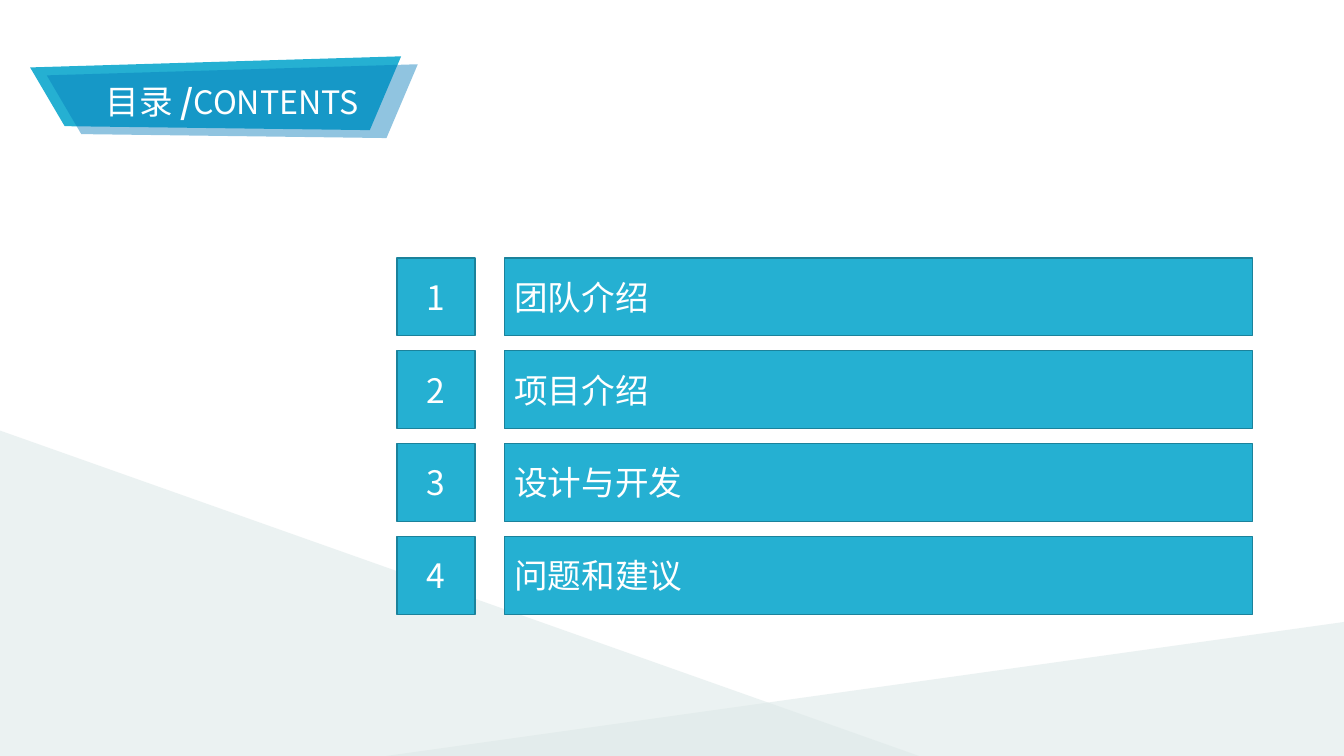
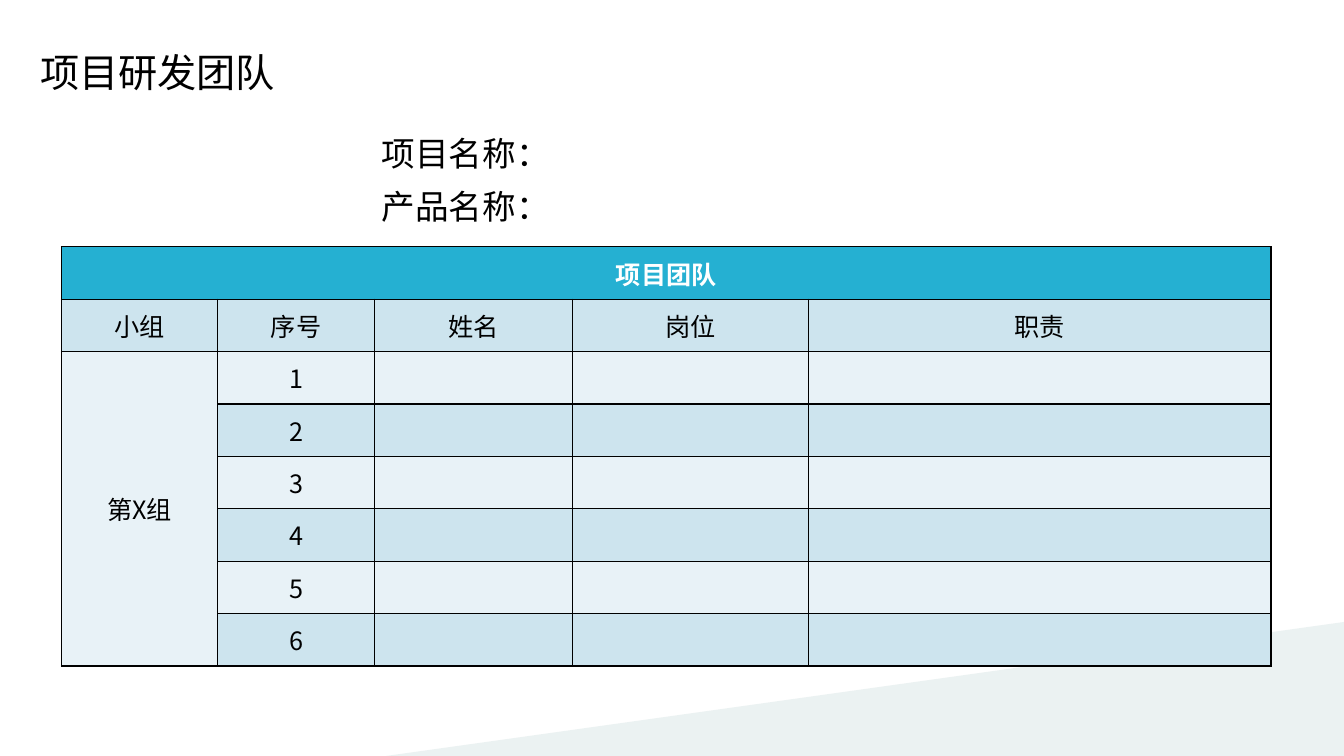
"""Builds a contents slide and a project team slide with a shared backdrop."""
from lxml import etree
from pptx import Presentation
from pptx import util as u
from pptx.dml.color import RGBColor
from pptx.enum import shapes, text
from pptx.oxml import ns

Cm = u.Cm
FONT = "Noto Sans CJK SC"
TEAL = RGBColor(0x25, 0xB0, 0xD2)
TEAL_EDGE = RGBColor(0x1B, 0x82, 0x9B)
BLUE = RGBColor(0x04, 0x7A, 0xBA)
MIST = RGBColor(0xDD, 0xE9, 0xE8)
ROW_DARK = RGBColor(0xCD, 0xE4, 0xEE)
ROW_LIGHT = RGBColor(0xE8, 0xF2, 0xF7)
WHITE = RGBColor(0xFF, 0xFF, 0xFF)
BLACK = RGBColor(0, 0, 0)
LEFT, CENTER = text.PP_ALIGN.LEFT, text.PP_ALIGN.CENTER


def write(frame, pieces, color, align, **shared):
    """Fill a text frame with runs given as (words, format values)."""
    for name, value in {"word_wrap": True, "auto_size": text.MSO_AUTO_SIZE.NONE,
                        "vertical_anchor": text.MSO_ANCHOR.MIDDLE}.items():
        setattr(frame, name, value)
    paragraph = frame.paragraphs[0]
    paragraph.alignment = align
    for words, own in pieces:
        run = paragraph.add_run()
        run.text = words
        for name, value in {"name": FONT, "bold": False, **shared, **own}.items():
            setattr(run.font, name, value)
        run.font.color.rgb = color
        east_asian = etree.SubElement(run.font._element, ns.qn("a:ea"))
        east_asian.set("typeface", FONT)


def paint(shape, color, edge=None, opacity=100):
    """Give a shape a flat fill, an optional edge and an opacity in percent."""
    shape.shadow.inherit = False
    shape.fill.solid()
    shape.fill.fore_color.rgb = color
    if edge is None:
        shape.line.fill.background()
    else:
        shape.line.color.rgb = edge
        shape.line.width = u.Pt(1)
    if opacity < 100:
        tint = shape._element.spPr.find(ns.qn("a:solidFill"))[0]
        etree.SubElement(tint, ns.qn("a:alpha")).set("val", str(opacity * 1000))


deck = Presentation()
deck.slide_width, deck.slide_height = Cm(33.87), Cm(19.05)
contents, team = [deck.slides.add_slide(deck.slide_layouts[5]) for _ in range(2)]

for slide in (contents, team):
    hill = slide.shapes.add_shape(shapes.MSO_SHAPE.RIGHT_TRIANGLE,
                                  Cm(9.73), Cm(15.65), Cm(24.31), Cm(3.4))
    hill._element.spPr.find(ns.qn("a:xfrm")).set("flipH", "1")
    paint(hill, MIST, opacity=56)

left_hill = contents.shapes.add_shape(shapes.MSO_SHAPE.RIGHT_TRIANGLE,
                                      0, Cm(10.85), Cm(23.16), Cm(8.2))
paint(left_hill, MIST, opacity=56)

RIBBON = [(0.76, 1.7), (1.63, 3.18), (9.32, 3.28), (10.11, 1.42)]
for shift_x, shift_y, color, opacity in [(0, 0, TEAL, 100), (0.42, 0.2, BLUE, 44)]:
    corners = [(Cm(x + shift_x), Cm(y + shift_y)) for x, y in RIBBON]
    outline = contents.shapes.build_freeform(*corners[0])
    outline.add_line_segments(corners[1:], close=True)
    paint(outline.convert_to_shape(), color, opacity=opacity)

TITLES = [
    (contents, (1.18, 1.62, 9.36, 1.86), WHITE, CENTER,
     [("目录 ", {"size": u.Pt(24)}), ("/", {"size": u.Pt(24), "bold": True}),
      ("CONTENTS", {"size": u.Pt(23)})]),
    (team, (0.76, 1.09, 12, 1.45), BLACK, LEFT, [("项目研发团队", {"size": u.Pt(28)})]),
]
for slide, place, color, align, pieces in TITLES:
    title = slide.shapes.title
    for name, value in zip(("left", "top", "width", "height"), place):
        setattr(title, name, Cm(value))
    write(title.text_frame, pieces, color, align)
    slide.shapes._spTree.append(title._element)

CHAPTERS = ["团队介绍", "项目介绍", "设计与开发", "问题和建议"]
BAR_HEIGHT, BAR_STEP = 1.96, 2.34
for index, chapter in enumerate(CHAPTERS):
    top = 6.5 + index * BAR_STEP
    for left, width, words, align in [(12.71, 18.85, chapter, LEFT),
                                      (10.01, BAR_HEIGHT, str(index + 1), CENTER)]:
        bar = contents.shapes.add_shape(shapes.MSO_SHAPE.RECTANGLE, Cm(left), Cm(top),
                                        Cm(width), Cm(BAR_HEIGHT))
        paint(bar, TEAL, TEAL_EDGE)
        write(bar.text_frame, [(words, {})], WHITE, align, size=u.Pt(24))

for top, label in [(3.23, "项目名称："), (4.55, "产品名称：")]:
    name_line = team.shapes.add_textbox(Cm(9.37), Cm(top), Cm(6), Cm(1.27))
    write(name_line.text_frame, [(label, {})], BLACK, LEFT, size=u.Pt(24))

COLUMN_WIDTHS = [3.94, 3.94, 5, 5.94, 11.66]
ROSTER = [["项目团队"], ["小组", "序号", "姓名", "岗位", "职责"], ["第X组", "1"]]
ROSTER += [["", str(number)] for number in range(2, 7)]
ROW_HEIGHT = 1.32
roster = team.shapes.add_table(len(ROSTER), len(COLUMN_WIDTHS), Cm(1.55), Cm(6.22),
                               Cm(sum(COLUMN_WIDTHS)), Cm(ROW_HEIGHT * len(ROSTER))).table
for column, width in zip(roster.columns, COLUMN_WIDTHS):
    column.width = Cm(width)
for row_index, words in enumerate(ROSTER):
    roster.rows[row_index].height = Cm(ROW_HEIGHT)
    heading = row_index == 0
    shade = TEAL if heading else ROW_DARK if row_index % 2 else ROW_LIGHT
    for column_index in range(len(COLUMN_WIDTHS)):
        cell = roster.cell(row_index, column_index)
        cell.fill.solid()
        cell.fill.fore_color.rgb = shade
        cell.vertical_anchor = text.MSO_ANCHOR.MIDDLE
        properties = cell._tc.get_or_add_tcPr()
        for position, side in enumerate(("a:lnL", "a:lnR", "a:lnT", "a:lnB")):
            border = etree.Element(ns.qn(side), w=str(u.Pt(1)))
            ink = etree.SubElement(border, ns.qn("a:solidFill"))
            etree.SubElement(ink, ns.qn("a:srgbClr"), val=str(BLACK))
            properties.insert(position, border)
        if column_index < len(words) and words[column_index]:
            paragraph = cell.text_frame.paragraphs[0]
            paragraph.alignment = CENTER
            run = paragraph.add_run()
            run.text = words[column_index]
            for name, value in {"name": FONT, "size": u.Pt(18), "bold": heading}.items():
                setattr(run.font, name, value)
            run.font.color.rgb = WHITE if heading else BLACK
            etree.SubElement(run.font._element, ns.qn("a:ea")).set("typeface", FONT)
roster.cell(0, 0).merge(roster.cell(0, 4))
roster.cell(2, 0).merge(roster.cell(7, 0))

deck.save("out.pptx")
